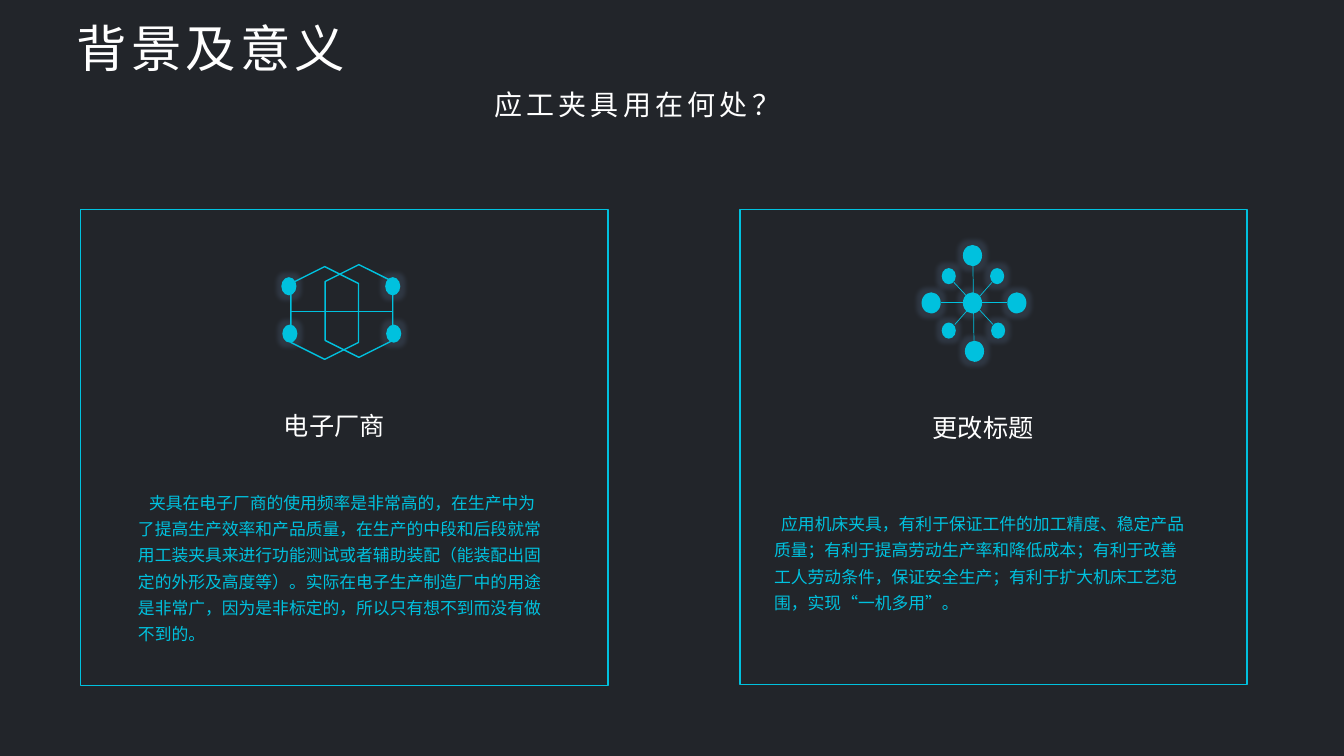
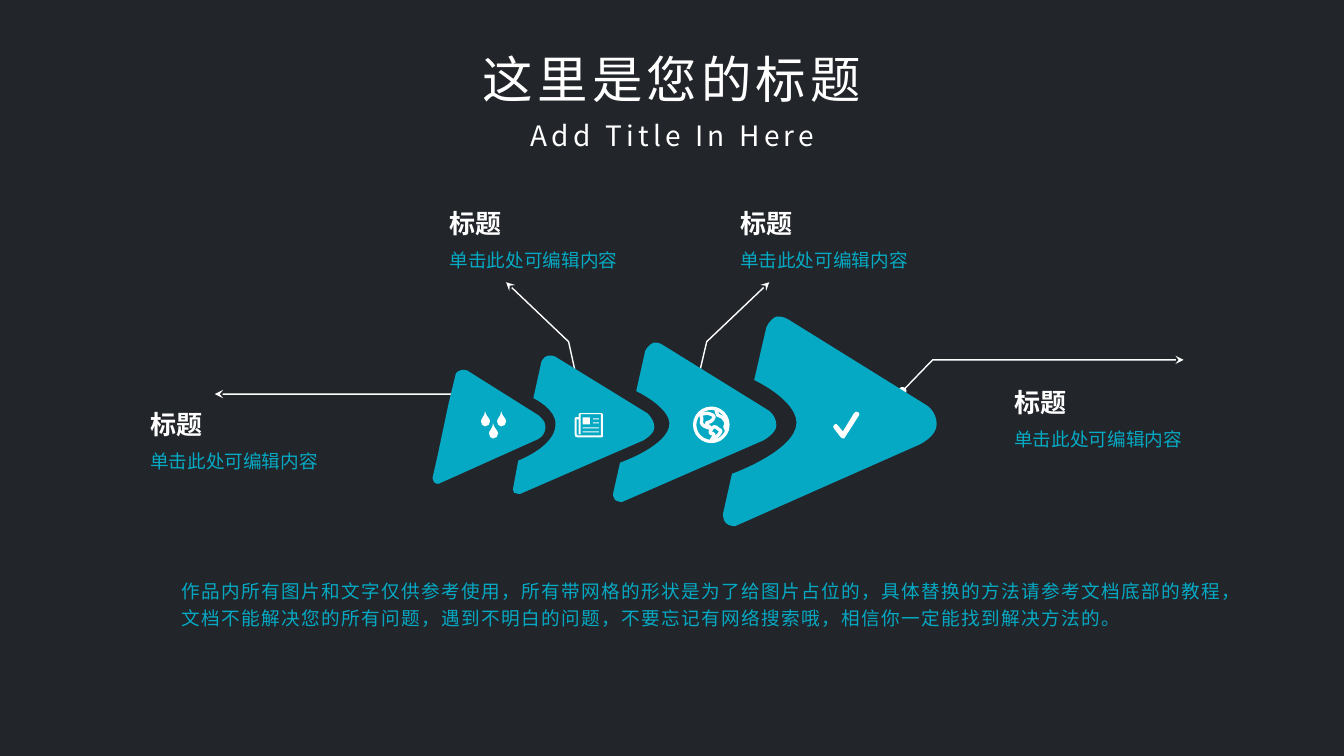
from lxml.etree import SubElement
from pptx import Presentation
from pptx.dml.color import RGBColor
from pptx.enum.shapes import MSO_CONNECTOR as Wire, MSO_SHAPE as Form
from pptx.enum.text import MSO_AUTO_SIZE as Fit, PP_ALIGN as Align
from pptx.oxml.ns import qn
from pptx.util import Pt

PX = 9144  # 100 px to the inch
FONT = "Noto Sans CJK SC"
DARK, WHITE, CYAN, TEAL = "22252A", "FFFFFF", "00C1DE", "06A9C3"
PALE, HALO = "FCFCFC", "44546A"
tint = RGBColor.from_string

# Text styles
MID = dict(alignment=Align.CENTER)
FLUSH = dict(margin_left=0, margin_top=0, margin_right=0, margin_bottom=0)
TITLE = dict(hue=WHITE, gap=3, font=dict(size=Pt(36)), para=MID)
SUB = dict(hue=WHITE, gap=3, font=dict(size=Pt(20)), para=MID)
HEAD = dict(hue=WHITE, font=dict(size=Pt(18)), para=MID)
BODY = dict(hue=CYAN, font=dict(size=Pt(12)), para=dict(line_spacing=1.3))
LABEL = dict(hue=WHITE, font=dict(size=Pt(18.6), bold=True), frame=FLUSH)
HINT = dict(hue=TEAL, font=dict(size=Pt(13.3)), frame=FLUSH)
NOTE = dict(hue=TEAL, gap=1, font=dict(size=Pt(13.3)),
            para=dict(line_spacing=1.2), frame=FLUSH)


def text(slide, box, words, style, indent=0):
    frame = slide.shapes.add_textbox(*[v * PX for v in box]).text_frame
    frame.word_wrap = True
    frame.auto_size = Fit.SHAPE_TO_FIT_TEXT
    para = frame.paragraphs[0]
    run = para.add_run()
    run.text = words
    run.font.color.rgb = tint(style["hue"])
    run.font.name = FONT
    for part, key in ((frame, "frame"), (para, "para"), (run.font, "font")):
        for name, value in style.get(key, {}).items():
            setattr(part, name, value)
    props = run.font._element
    SubElement(props, qn("a:ea"), typeface=FONT)
    if "gap" in style:
        props.set("spc", str(style["gap"] * 100))
    if indent:
        para._p.get_or_add_pPr().set("indent", str(indent * PX))


def paint(shape, fill=None, line=None, width=1):
    shape.shadow.inherit = False
    if fill:
        shape.fill.solid()
        shape.fill.fore_color.rgb = tint(fill)
    else:
        shape.fill.background()
    if line:
        shape.line.color.rgb = tint(line)
        shape.line.width = Pt(width)
    else:
        shape.line.fill.background()


deck = Presentation()
deck.slide_width, deck.slide_height = 1333 * PX, 750 * PX
back = deck.slide_master.background.fill
back.solid()
back.fore_color.rgb = tint(DARK)
uses, steps = [deck.slides.add_slide(deck.slide_layouts[6]) for _ in range(2)]

# Slide 1: titles
text(uses, (447, 82, 370, 44), "应工夹具用在何处？", SUB)
text(uses, (-81, 12, 581, 71), "背景及意义", TITLE)

# Glowing dots of both icons
dots = [(x, y, 15, 18) for x, y in
        ((279, 275), (280, 322), (382, 275), (383, 322))]
dots += [(x, y, 19, 21) for x, y in
         ((955, 243), (957, 338), (955, 290), (914, 290), (999, 290))]
dots += [(x, y, 14, 16) for x, y in
         ((982, 266), (983, 320), (934, 266), (934, 320))]
for box in dots:
    dot = uses.shapes.add_shape(Form.OVAL, *[v * PX for v in box])
    paint(dot, CYAN)
    effects = dot._element.spPr.find(qn("a:effectLst"))
    glow = SubElement(effects, qn("a:glow"), rad=str(9 * PX))
    color = SubElement(glow, qn("a:srgbClr"), val=HALO)
    SubElement(color, qn("a:alpha"), val="40000")

# Hexagons and spokes
for x, y in ((276, 277), (310, 275)):
    cell = uses.shapes.add_shape(Form.HEXAGON, x * PX, y * PX, 92 * PX, 67 * PX)
    cell.rotation = 90
    paint(cell, line=CYAN)
for ends in ((289, 309, 390, 309), (946, 280, 985, 322), (984, 280, 947, 322),
             (965, 264, 966, 338), (933, 300, 999, 300)):
    spoke = uses.shapes.add_connector(Wire.STRAIGHT, *[v * PX for v in ends])
    spoke.line.color.rgb = tint(CYAN)
    spoke.line.width = Pt(0.5)
    SubElement(spoke._element.spPr, qn("a:effectLst"))

# Panels
panels = [
    ((80, 208, 523, 472), (194, 402, 275, 40), "电子厂商",
     (127, 478, 429, 167), 11,
     "夹具在电子厂商的使用频率是非常高的，在生产中为了提高生产效率和产品质量，"
     "在生产的中段和后段就常用工装夹具来进行功能测试或者辅助装配"
     "（能装配出固定的外形及高度等）。实际在电子生产制造厂中的用途是非常广，"
     "因为是非标定的，所以只有想不到而没有做不到的。"),
    ((734, 208, 503, 471), (843, 404, 264, 40), "更改标题",
     (758, 499, 436, 115), 7,
     "应用机床夹具，有利于保证工件的加工精度、稳定产品质量；"
     "有利于提高劳动生产率和降低成本；有利于改善工人劳动条件，保证安全生产；"
     "有利于扩大机床工艺范围，实现“一机多用”。"),
]
for edge, top, name, box, indent, words in panels:
    text(uses, top, name, HEAD)
    text(uses, box, words, BODY, indent)
    paint(uses.shapes.add_shape(Form.RECTANGLE, *[v * PX for v in edge]),
          line=CYAN)

# Slide 2: titles
text(steps, (376, 43, 581, 71), "这里是您的标题", TITLE)
text(steps, (482, 113, 370, 44), "Add Title In Here", SUB)

# Outlines: pairs are straight segments, sixes are Bezier curves
arrows = [
    [(895, 388), (925, 357), (1174, 357)],
    [(491, 422), (462, 391), (213, 391)],
    [(689, 390), (701, 339), (763, 280)],
    [(575, 389), (564, 339), (502, 280)],
]
wedges = [
    [(445, 400), (452, 371), (452, 371, 453, 368, 458, 367),
     (461, 366, 464, 368, 464, 368), (534, 412),
     (534, 412, 541, 417, 541, 423), (541, 433, 533, 436, 533, 436),
     (435, 480), (435, 480, 432, 480, 431, 479),
     (429, 476, 429, 474, 429, 474), (434, 452)],
    [(649, 424), (649, 431, 638, 437, 638, 437), (516, 490),
     (516, 490, 512, 490, 510, 489), (508, 487, 509, 484, 509, 484),
     (514, 457), (514, 457, 551, 443, 551, 421),
     (552, 406, 529, 395, 529, 395), (537, 359),
     (537, 359, 539, 354, 543, 353), (548, 352, 551, 354, 551, 354),
     (642, 410), (642, 410, 649, 416, 649, 424)],
    [(770, 422), (770, 430, 757, 437, 757, 437), (617, 498),
     (617, 498, 613, 498, 610, 496), (608, 494, 608, 490, 608, 490),
     (615, 459), (615, 459, 664, 442, 664, 420),
     (663, 403, 631, 388, 631, 388), (640, 348),
     (640, 348, 643, 342, 648, 340), (653, 339, 657, 342, 657, 342),
     (762, 407), (762, 407, 770, 412, 770, 422)],
    [(929, 421), (929, 433, 912, 441, 912, 441), (729, 522),
     (729, 522, 723, 522, 720, 519), (717, 516, 717, 510, 717, 510),
     (726, 470), (726, 470, 790, 447, 790, 419),
     (789, 396, 748, 377, 748, 377), (760, 325),
     (760, 325, 763, 317, 770, 314), (776, 313, 782, 317, 782, 317),
     (919, 402), (919, 402, 929, 408, 929, 421)],
]
drops = [[(x, y), (x, y + 5, x - 4, y + 7, x - 4, y + 10),
          (x - 4, y + 13, x - 2, y + 15, x, y + 15),
          (x + 3, y + 15, x + 5, y + 13, x + 5, y + 10),
          (x + 5, y + 7, x + 1, y + 5, x, y)]
         for x, y in ((481, 408), (497, 408), (489, 420))]
paper = [
    [(597, 410), (575, 410), (574, 411), (574, 414), (571, 414), (570, 415),
     (570, 431), (570, 433, 571, 434, 573, 434), (597, 434), (598, 433),
     (598, 411)],
    [(596, 432), (573, 432), (572, 431), (572, 416), (574, 416), (574, 431),
     (576, 431), (576, 411), (596, 411)],
]
tick = [(836, 435), (835, 435, 835, 435, 834, 434), (827, 425),
        (826, 424, 826, 422, 828, 421), (829, 420, 830, 421, 831, 422),
        (836, 428), (847, 410), (848, 408, 850, 408, 851, 409),
        (852, 409, 853, 411, 852, 412), (838, 434),
        (838, 435, 837, 435, 836, 435)]
lands = [
    [(696, 416), (695, 418, 695, 421, 699, 423),
     (703, 425, 704, 424, 704, 425), (705, 425, 704, 425, 704, 424),
     (704, 423, 703, 423, 703, 423), (702, 423, 702, 422, 702, 422),
     (702, 421, 701, 422, 701, 421), (700, 420, 701, 419, 702, 419),
     (705, 420, 705, 417, 707, 416), (711, 412, 705, 411, 702, 410),
     (699, 410, 694, 411, 695, 412), (696, 413, 696, 415, 696, 416)],
    [(705, 427), (705, 429, 703, 428, 705, 430),
     (707, 432, 708, 428, 708, 432), (707, 436, 704, 437, 707, 436),
     (710, 435, 709, 436, 711, 433), (713, 431, 714, 430, 715, 428),
     (716, 427, 714, 427, 713, 426), (712, 425, 709, 422, 707, 424),
     (706, 425, 705, 427, 705, 427)],
]
coast = [(710, 406), (710, 407, 711, 410, 712, 412),
         (714, 413, 718, 414, 718, 416), (719, 418, 721, 419, 720, 421),
         (719, 422, 718, 425, 720, 426), (721, 427, 722, 426, 722, 426)]

# Rows: contours, look, closed, arrowheads
white = dict(line=WHITE, width=2.38)
rows = [([a], dict(line=WHITE), False, True) for a in arrows]
rows += [([w], dict(fill=TEAL), True, False) for w in wedges]
rows += [(drops, dict(fill=WHITE), True, False),
         (paper, dict(fill=PALE), True, False),
         ([tick], dict(fill=WHITE), True, False)]
rows += [([land], white, True, False) for land in lands]
rows += [([coast], white, False, False)]
for rings, look, closed, tips in rows:
    x, y = rings[0][0]
    pen = steps.shapes.build_freeform(x * PX, y * PX)
    for k, (start, *segs) in enumerate(rings):
        if k:
            pen.move_to(*[v * PX for v in start])
        ends = [(seg[-2] * PX, seg[-1] * PX) for seg in segs]
        pen.add_line_segments(ends, closed)
    shape = pen.convert_to_shape()
    paint(shape, **look)
    # Bend the segments that have control points
    segs = [seg for ring in rings for seg in ring[1:]]
    for node, seg in zip(list(shape._element.iter(qn("a:lnTo"))), segs):
        if len(seg) == 6:
            node.clear()
            curve = SubElement(node.getparent(), qn("a:cubicBezTo"))
            node.getparent().replace(node, curve)
            for x, y in zip(seg[::2], seg[1::2]):
                SubElement(curve, qn("a:pt"), x=str(x * PX - shape.left),
                           y=str(y * PX - shape.top))
    if tips:
        stroke = shape.line._get_or_add_ln()
        SubElement(stroke, qn("a:headEnd"), type="oval")
        SubElement(stroke, qn("a:tailEnd"), type="stealth")

# Newspaper print and globe rim
for box in ((578, 414, 7, 7), (588, 415, 6, 1), (588, 419, 6, 1),
            (578, 424, 16, 1), (578, 428, 16, 1)):
    paint(steps.shapes.add_shape(Form.RECTANGLE, *[v * PX for v in box]), PALE)
paint(steps.shapes.add_shape(Form.OVAL, 689 * PX, 405 * PX, 33 * PX, 33 * PX),
      **white)

# Captions
for x, y in ((446, 206), (734, 206), (1006, 383), (149, 405)):
    text(steps, (x, y, 238, 31), "标题", LABEL)
    text(steps, (x, y + 41, 226, 22), "单击此处可编辑内容", HINT)
text(steps, (180, 571, 1042, 52),
     "作品内所有图片和文字仅供参考使用，所有带网格的形状是为了给图片占位的，"
     "具体替换的方法请参考文档底部的教程，文档不能解决您的所有问题，"
     "遇到不明白的问题，不要忘记有网络搜索哦，相信你一定能找到解决方法的。", NOTE)

deck.save("out.pptx")
